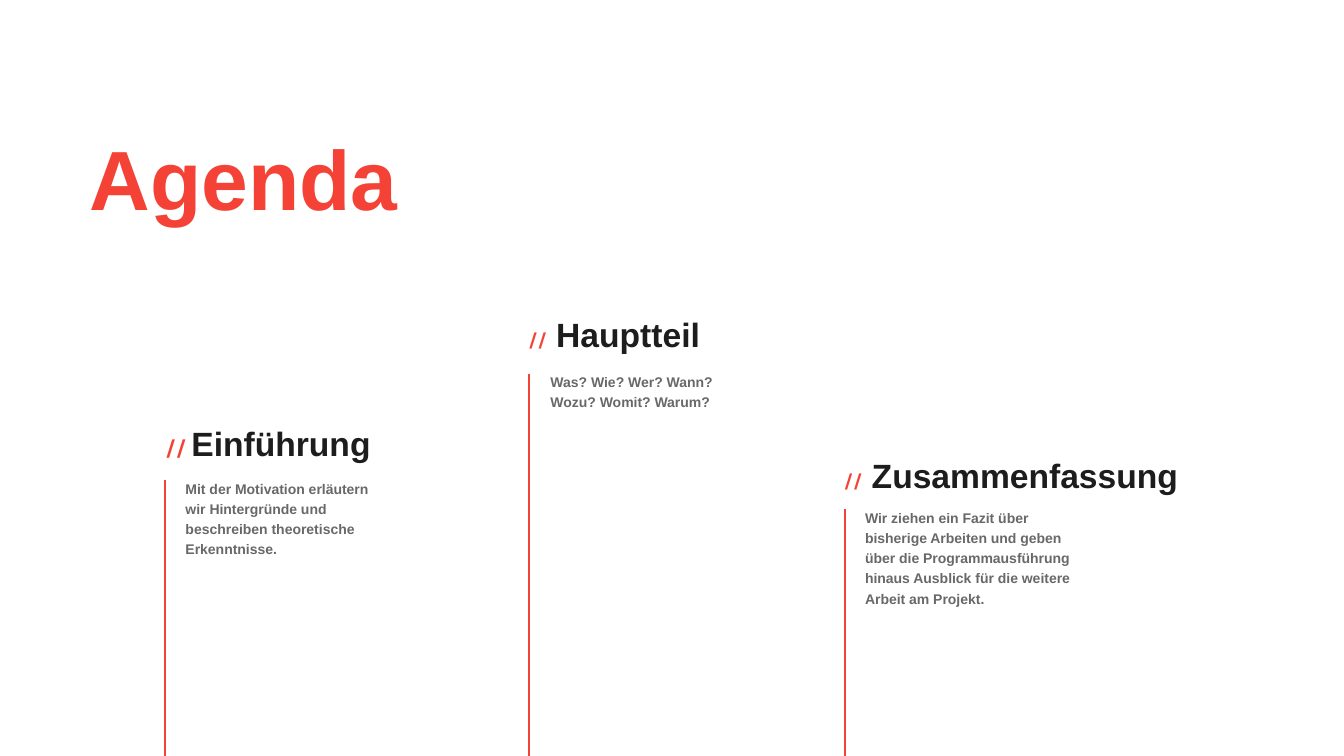
from lxml import etree
from pptx import Presentation
from pptx.dml import color
from pptx.enum import shapes, text
from pptx.oxml import ns
from pptx.util import Inches, Pt

RED, BLACK, GREY = "F44336", "1D1D1D", "292929"

# Heading box, slash size, gap (text, size, font), line (x, top), body box, body paragraphs
SECTIONS = [
    ((1.64, 4.27, 2.25, 0.32), 16, (" ", 14, "Karla"), (1.64, 4.76),
     (1.84, 4.73, 2.04, 0.79),
     "Einführung",
     ["Mit der Motivation erläutern wir Hintergründe und "
      "beschreiben theoretische Erkenntnisse."]),
    ((5.24, 3.19, 2.05, 0.32), 14, (" ", 24, "Arial"), (5.25, 3.71),
     (5.46, 3.67, 2.05, 0.39),
     "Hauptteil",
     ["Was? Wie? Wer? Wann?", "Wozu? Womit? Warum?"]),
    ((8.37, 4.59, 3.47, 0.32), 14, (" ", 24, "Arial"), (8.38, 5.05),
     (8.58, 5.02, 2.2, 0.99),
     "Zusammenfassung",
     ["Wir ziehen ein Fazit über bisherige Arbeiten und geben über die "
      "Programmausführung hinaus Ausblick für die weitere Arbeit am Projekt."]),
]


def rgb(value):
    return color.RGBColor.from_string(value)


def set_frame(sp, top=0, right=0):
    tf = sp.text_frame
    values = {"margin_left": 0, "margin_top": Inches(top),
              "margin_right": Inches(right), "margin_bottom": 0,
              "word_wrap": True, "vertical_anchor": text.MSO_ANCHOR.TOP,
              "auto_size": text.MSO_AUTO_SIZE.SHAPE_TO_FIT_TEXT}
    for name, value in values.items():
        setattr(tf, name, value)
    return tf


def add_run(p, content, size, fill, font="Arial", alpha=None):
    r = p.add_run()
    r.text = content
    for name, value in {"name": font, "size": Pt(size), "bold": True}.items():
        setattr(r.font, name, value)
    r.font.color.rgb = rgb(fill)
    if alpha:
        clr = r.font.fill._xPr.find(".//" + ns.qn("a:srgbClr"))
        etree.SubElement(clr, ns.qn("a:alpha"), val=str(alpha * 1000))


def add_title(s, box, content):
    sp = s.shapes.title
    for name, value in zip(("left", "top", "width", "height"), box):
        setattr(sp, name, Inches(value))
    p = set_frame(sp, top=0.05).paragraphs[0]
    p.alignment, p.line_spacing = text.PP_ALIGN.LEFT, 0.9
    add_run(p, content, 60, RED)


def add_heading(s, box, slash_size, gap, content):
    sp = s.shapes.add_textbox(*map(Inches, box))
    p = set_frame(sp).paragraphs[0]
    p.line_spacing = 0.8
    add_run(p, "//", slash_size, RED, "Karla")
    gap_text, gap_size, gap_font = gap
    add_run(p, gap_text, gap_size, RED, gap_font)
    add_run(p, content, 24, BLACK)


def add_body(s, box, paragraphs):
    sp = s.shapes.add_textbox(*map(Inches, box))
    tf = set_frame(sp, right=0.1)
    for i, content in enumerate(paragraphs):
        p = tf.add_paragraph() if i else tf.paragraphs[0]
        p.line_spacing = 1.2
        add_run(p, content, 10, GREY, alpha=70)


def add_rule(s, x, top):
    line = s.shapes.add_connector(shapes.MSO_CONNECTOR.STRAIGHT, Inches(x),
                                  Inches(top), Inches(x), Inches(7.5))
    line.line.color.rgb = rgb(RED)
    line.line.width = Pt(1.5)
    etree.SubElement(line._element.spPr, ns.qn("a:effectLst"))


def main():
    prs = Presentation()
    prs.slide_width, prs.slide_height = Inches(13.33), Inches(7.5)
    s = prs.slides.add_slide(prs.slide_layouts[5])

    # Title
    add_title(s, (0.89, 1.32, 10.95, 0.96), "Agenda")

    # Agenda sections, each with a rule running to the slide's foot
    for head_box, slash_size, gap, rule, body_box, heading, body in SECTIONS:
        add_heading(s, head_box, slash_size, gap, heading)
        add_rule(s, *rule)
        add_body(s, body_box, body)

    prs.save("out.pptx")


if __name__ == "__main__":
    main()
